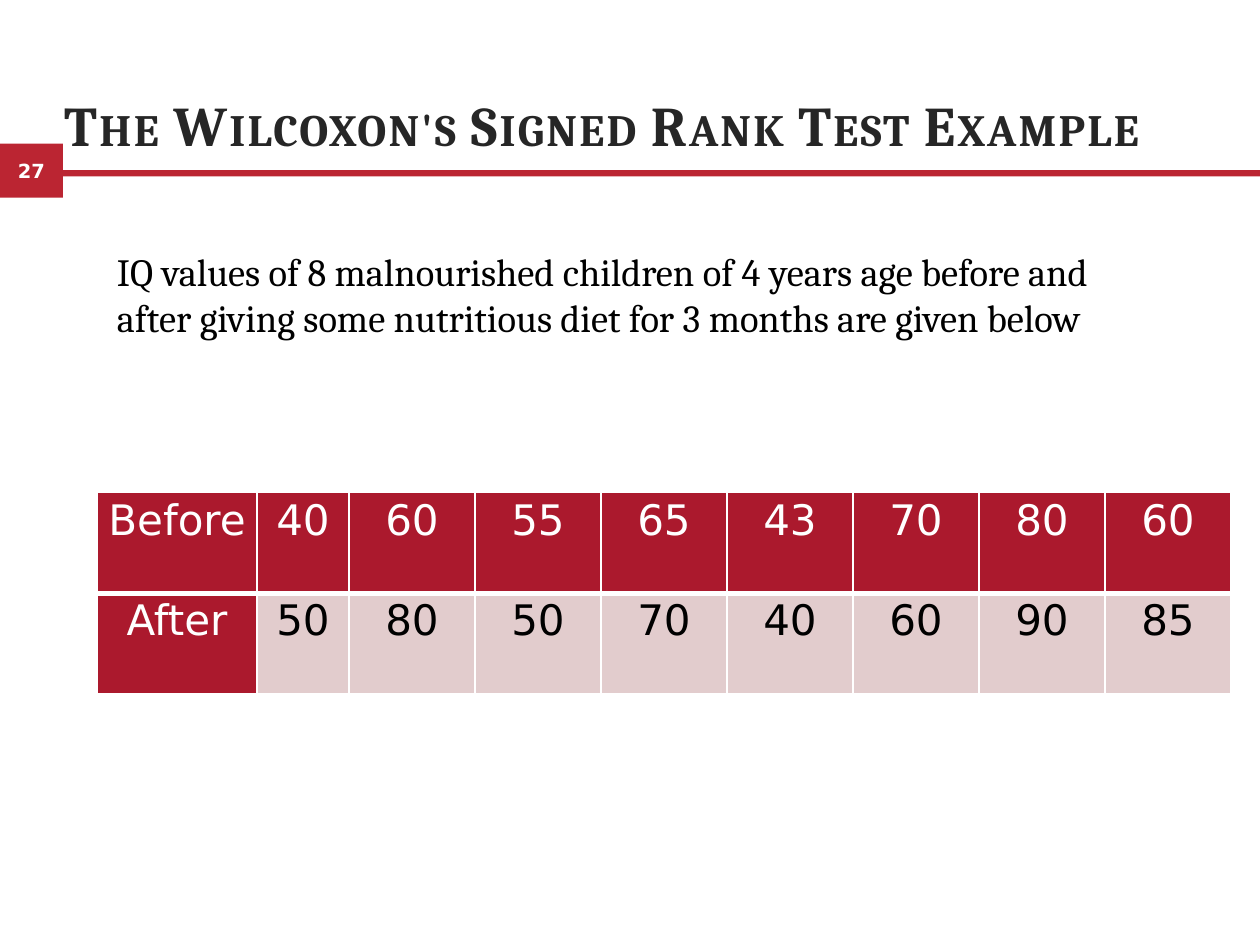
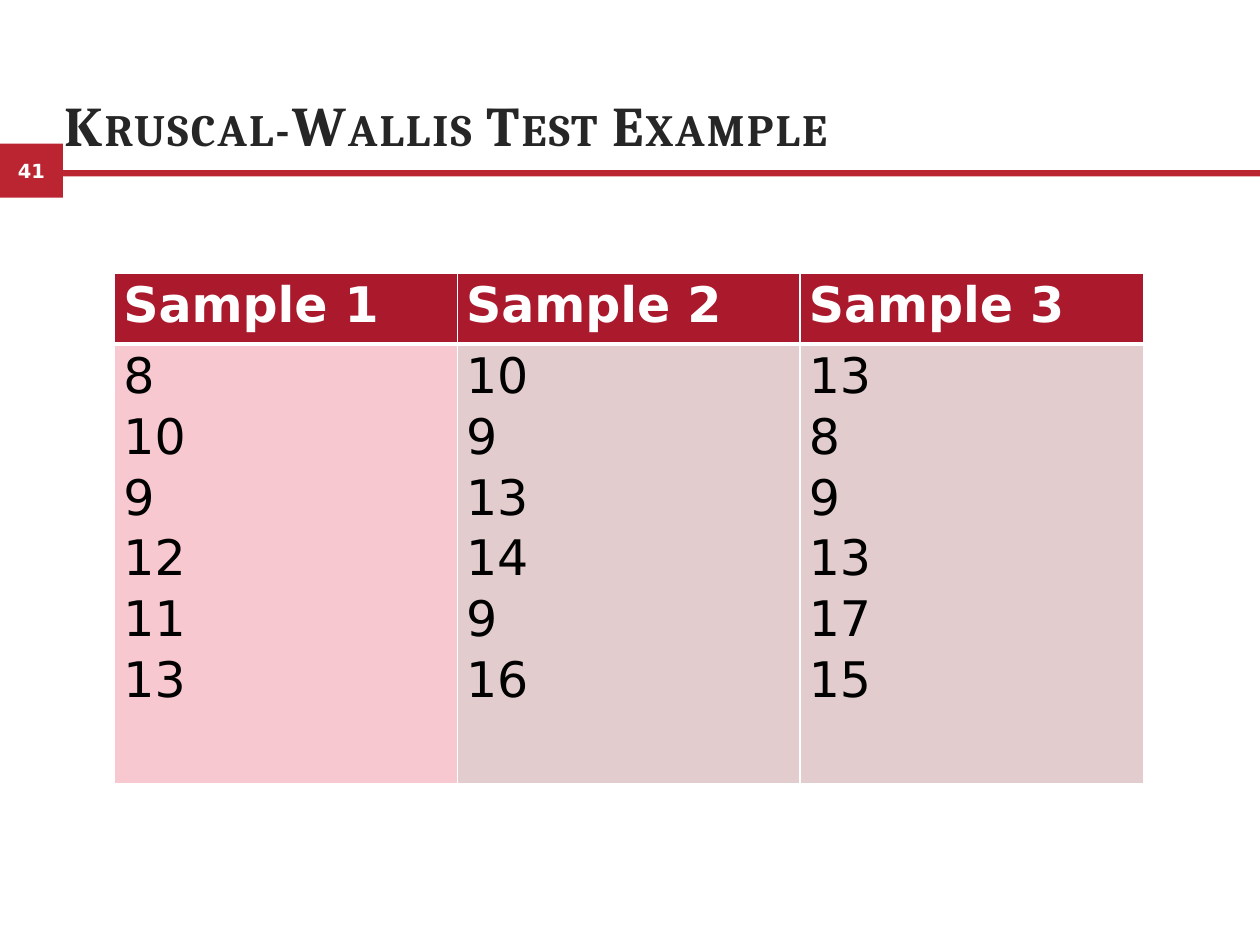
from lxml.etree import SubElement
from pptx import Presentation
from pptx.dml.color import RGBColor
from pptx.enum.shapes import MSO_SHAPE
from pptx.enum.text import MSO_ANCHOR, MSO_AUTO_SIZE, PP_ALIGN
from pptx.oxml.ns import qn
from pptx.util import Inches, Pt

COLORS = {
    "band": "BB2532",
    "header": "AB192D",
    "cell": "E2CCCD",
    "pink": "F7C8CF",
    "title": "262626",
    "white": "FFFFFF",
    "black": "000000",
}
SERIF, SANS = "Cambria", "DejaVu Sans"
TITLE_BOTTOM = 1.25

pages = [
    {
        "number": "27",
        "title": "The Wilcoxon's Signed Rank Test Example",
        "title_height": 1.6,
        "intro": "IQ values of 8 malnourished children of 4 years age before and "
                 "after giving some nutritious diet for 3 months are given below",
        "pos": (0.77, 3.91),
        "cols": [1.27, 0.73] + [1] * 7,
        "rows": [0.8, 0.8],
        "size": 24,
        "align": PP_ALIGN.CENTER,
        "bold_header": False,
        "first_col": "header",
        "cells": [
            ["Before", "40", "60", "55", "65", "43", "70", "80", "60"],
            ["After", "50", "80", "50", "70", "40", "60", "90", "85"],
        ],
    },
    {
        "number": "41",
        "title": "Kruscal-Wallis Test Example",
        "title_height": 1.06,
        "intro": None,
        "pos": (0.91, 2.17),
        "cols": [2.72, 2.72, 2.73],
        "rows": [0.56, 3.49],
        "size": 28,
        "align": PP_ALIGN.JUSTIFY,
        "bold_header": True,
        "first_col": "pink",
        "cells": [
            ["Sample 1", "Sample 2", "Sample 3"],
            ["8\n10\n9\n12\n11\n13", "10\n9\n13\n14\n9\n16", "13\n8\n9\n13\n17\n15"],
        ],
    },
]


def style(p, name, size, color, bold=False, align=PP_ALIGN.LEFT):
    p.alignment = align
    for r in p.runs:
        r.font.name = name
        r.font.size = Pt(size)
        r.font.bold = bold
        r.font.color.rgb = RGBColor.from_string(COLORS[color])


def add_border(cell, side, width):
    ln = SubElement(cell._tc.get_or_add_tcPr(), qn(f"a:ln{side}"), w=str(Pt(width)))
    fill = SubElement(ln, qn("a:solidFill"))
    SubElement(fill, qn("a:srgbClr"), val=COLORS["white"])


prs = Presentation()
prs.slide_width, prs.slide_height = Inches(10), Inches(7.5)

for page in pages:
    s = prs.slides.add_slide(prs.slide_layouts[5])

    bands = []
    for box in [(0, 1.14, 0.5, 0.43), (0.5, 1.35, 9.5, 0.05)]:
        sp = s.shapes.add_shape(MSO_SHAPE.RECTANGLE, *map(Inches, box))
        sp.shadow.inherit = False
        sp.fill.solid()
        sp.fill.fore_color.rgb = RGBColor.from_string(COLORS["band"])
        sp.line.fill.background()
        bands.append(sp)
    tf = bands[0].text_frame
    tf.text = page["number"]
    tf.vertical_anchor = MSO_ANCHOR.MIDDLE
    style(tf.paragraphs[0], SANS, 11.1, "white", True, PP_ALIGN.CENTER)

    title = s.shapes.title
    title.left, title.width = Inches(0.5), Inches(9)
    title.top = Inches(TITLE_BOTTOM - page["title_height"])
    title.height = Inches(page["title_height"])
    tf = title.text_frame
    tf.text = page["title"]
    tf.auto_size = MSO_AUTO_SIZE.NONE
    tf.vertical_anchor = MSO_ANCHOR.BOTTOM
    tf.margin_left = Inches(0.01)
    tf.margin_top = tf.margin_right = tf.margin_bottom = 0
    p = tf.paragraphs[0]
    style(p, SERIF, 32, "title", True)
    rPr = p.runs[0].font._element
    rPr.set("cap", "small")
    rPr.set("spc", "130")

    if page["intro"]:
        tf = s.shapes.add_textbox(Inches(0.83), Inches(1.92), Inches(8.33), Inches(1.21)).text_frame
        tf.word_wrap = True
        tf.text = page["intro"]
        style(tf.paragraphs[0], SERIF, 22, "black")

    cols, rows = page["cols"], page["rows"]
    table = s.shapes.add_table(len(rows), len(cols), *map(Inches, page["pos"]),
                               Inches(sum(cols)), Inches(sum(rows))).table
    table.horz_banding = False
    for col, width in zip(table.columns, cols):
        col.width = Inches(width)
    for row, height in zip(table.rows, rows):
        row.height = Inches(height)

    for i, values in enumerate(page["cells"]):
        for j, value in enumerate(values):
            cell = table.cell(i, j)
            fill = "header" if i == 0 else page["first_col"] if j == 0 else "cell"
            top, bottom = (1, 3) if i == 0 else (3, 1)
            for side, width in zip("LRTB", (1, 1, top, bottom)):
                add_border(cell, side, width)
            cell.fill.solid()
            cell.fill.fore_color.rgb = RGBColor.from_string(COLORS[fill])
            cell.margin_left = cell.margin_right = Inches(0.07)
            cell.margin_top = cell.margin_bottom = 0
            cell.text_frame.text = value
            for p in cell.text_frame.paragraphs:
                p.line_spacing = 1.07
                style(p, SANS, page["size"], "white" if fill == "header" else "black",
                      i == 0 and page["bold_header"], page["align"])

prs.save("out.pptx")
